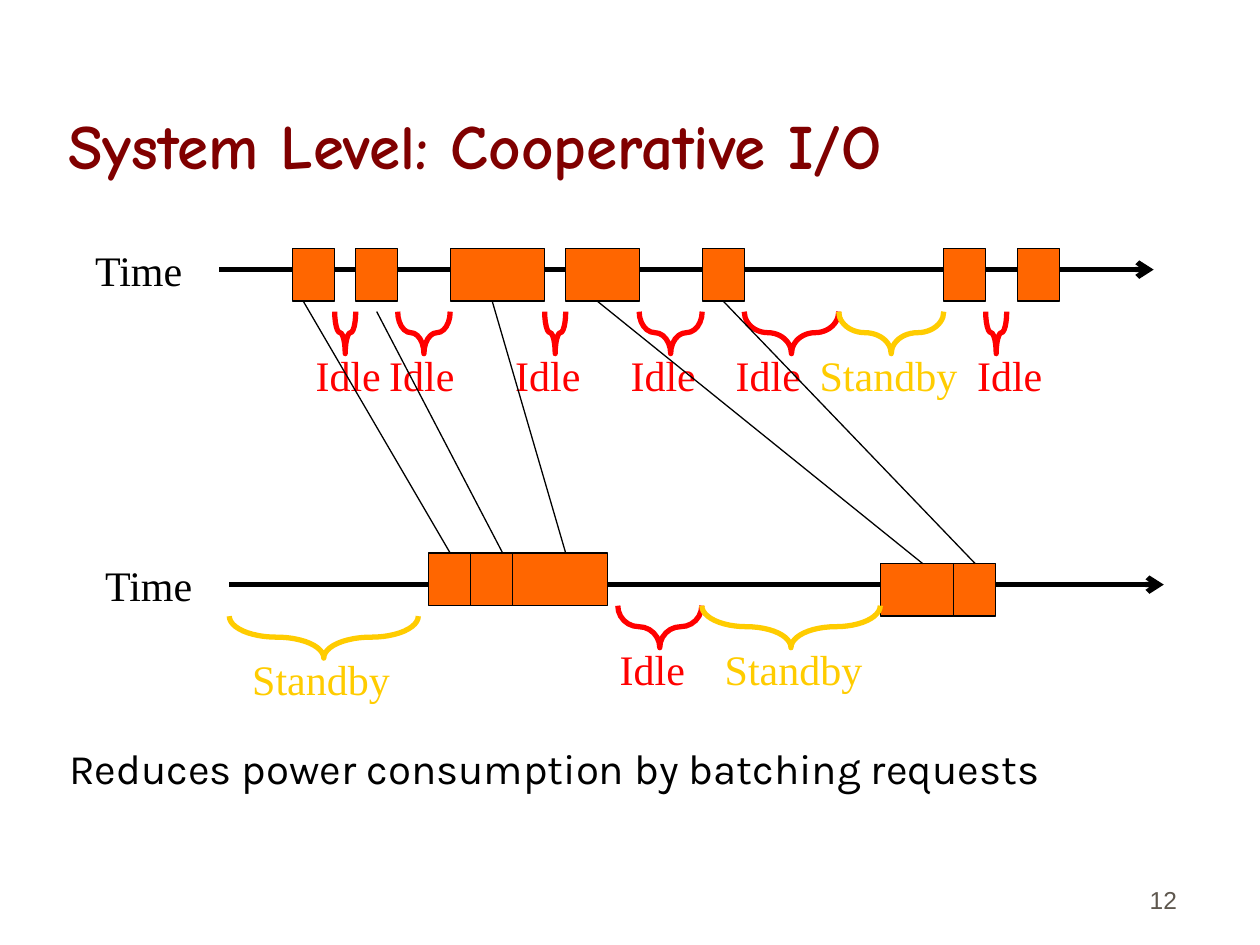
from lxml.etree import SubElement
from pptx import Presentation
from pptx.dml.color import RGBColor
from pptx.enum.shapes import MSO_CONNECTOR, MSO_SHAPE
from pptx.enum.text import MSO_ANCHOR, PP_ALIGN
from pptx.oxml.ns import qn
from pptx.util import Inches, Pt

BLACK, ORANGE = "000000", "FF6600"
STATE_COLORS = {"Idle": "FF0000", "Standby": "FFCC00"}
LABEL_UNITS = {"Idle": 9, "Standby": 16}
BLOCK_HEIGHT, BRACE_HEIGHT, AXIS_UNITS = 5, 4, 89

# Top-left start of each time axis, in inches
EAGER_ORIGIN = (1.74, 2.14)
BATCHED_ORIGIN = (1.82, 4.64)

# Positions along an axis, in grid units: blocks are (start, top, width),
# periods are (state, start, end, brace top, label start)
EAGER_BLOCKS = [(start, -2, width) for start, width in
                [(7, 4), (13, 4), (22, 9), (33, 7), (46, 4), (69, 4), (76, 4)]]
EAGER_PERIODS = [
    ("Idle", 11, 13, 4, 8),
    ("Idle", 17, 22, 4, 15),
    ("Idle", 31, 33, 4, 27),
    ("Idle", 40, 46, 4, 38),
    ("Idle", 50, 59, 4, 48),
    ("Standby", 59, 69, 4, 56),
    ("Idle", 73, 75, 4, 71),
]
BATCHED_BLOCKS = [(19, -3, 4), (23, -3, 4), (27, -3, 9), (62, -2, 7), (69, -2, 4)]
BATCHED_PERIODS = [
    ("Standby", 0, 18, 3, 1),
    ("Idle", 37, 45, 2, 36),
    ("Standby", 45, 62, 2, 46),
]
# Where each request moves, in grid units from the first axis start
MOVES = [(8, 3, 22, 27), (15, 4, 27, 27), (26, 3, 33, 27), (36, 3, 67, 28), (48, 3, 72, 28)]


def color(value):
    return RGBColor.from_string(value)


def units(count):
    """Length of a number of grid units, twelve to the inch."""
    return Inches(count / 12)


def add_text(slide, text, left, top, width, font_name, size, text_color,
             align=PP_ALIGN.LEFT, anchor=MSO_ANCHOR.TOP):
    frame = slide.shapes.add_textbox(left, top, width, Inches(0.5)).text_frame
    frame.word_wrap = True
    frame.vertical_anchor = anchor
    paragraph = frame.paragraphs[0]
    paragraph.text = text
    paragraph.alignment = align
    paragraph.font.name = font_name
    paragraph.font.size = Pt(size)
    paragraph.font.color.rgb = color(text_color)


def add_line(slide, start_x, start_y, end_x, end_y, width, arrow=False):
    connector = slide.shapes.add_connector(
        MSO_CONNECTOR.STRAIGHT, start_x, start_y, end_x, end_y)
    connector.line.color.rgb = color(BLACK)
    connector.line.width = Pt(width)
    properties = connector._element.spPr
    if arrow:
        SubElement(properties.find(qn("a:ln")), qn("a:tailEnd"), type="arrow")
    SubElement(properties, qn("a:effectLst"))


def add_block(slide, left, top, width):
    block = slide.shapes.add_shape(
        MSO_SHAPE.RECTANGLE, left, top, width, units(BLOCK_HEIGHT))
    block.shadow.inherit = False
    block.fill.solid()
    block.fill.fore_color.rgb = color(ORANGE)
    block.line.color.rgb = color(BLACK)
    block.line.width = Pt(0.75)


def add_brace(slide, left, top, span, line_color):
    """Draw a downward brace: a left brace turned about its centre."""
    depth = units(BRACE_HEIGHT)
    brace = slide.shapes.add_shape(
        MSO_SHAPE.LEFT_BRACE, left + (span - depth) // 2,
        top + (depth - span) // 2, depth, span)
    brace.rotation = 270
    brace.adjustments[0] = span / 4 / min(span, depth)
    brace.shadow.inherit = False
    brace.fill.background()
    brace.line.color.rgb = color(line_color)
    brace.line.width = Pt(3)


def add_timeline(slide, left, axis_y, blocks, periods):
    add_line(slide, left, axis_y, left + units(AXIS_UNITS), axis_y, 3, arrow=True)
    add_text(slide, "Time", left - units(13), axis_y - units(3), units(13),
             "Times New Roman", 24, BLACK)
    for start, top, width in blocks:
        add_block(slide, left + units(start), axis_y + units(top), units(width))
    for state, start, end, top, label_start in periods:
        add_brace(slide, left + units(start), axis_y + units(top),
                  units(end - start), STATE_COLORS[state])
        add_text(slide, state, left + units(label_start), axis_y + units(top + 3),
                 units(LABEL_UNITS[state]), "Times New Roman", 24, STATE_COLORS[state])


def add_moves(slide, left, top):
    for start_x, start_y, end_x, end_y in MOVES:
        add_line(slide, left + units(start_x), top + units(start_y),
                 left + units(end_x), top + units(end_y), 0.75)


def set_title(slide, left, top, width, height):
    title = slide.shapes.title
    title.left, title.top, title.width, title.height = left, top, width, height
    title.text_frame.vertical_anchor = MSO_ANCHOR.BOTTOM
    paragraph = title.text_frame.paragraphs[0]
    paragraph.text = "System Level: Cooperative I/O"
    paragraph.alignment = PP_ALIGN.LEFT
    paragraph.line_spacing = 0.85
    paragraph.font.name = "Comic Neue"
    paragraph.font.size = Pt(36)
    paragraph.font.bold = True
    paragraph.font.color.rgb = color("800000")


def main():
    presentation = Presentation()
    presentation.slide_width, presentation.slide_height = Inches(10), Inches(7.5)
    slide = presentation.slides.add_slide(presentation.slide_layouts[5])

    set_title(slide, Inches(0.44), Inches(0.25), Inches(8.97), Inches(1.25))
    eager_left, eager_y = map(Inches, EAGER_ORIGIN)
    batched_left, batched_y = map(Inches, BATCHED_ORIGIN)
    add_timeline(slide, eager_left, eager_y, EAGER_BLOCKS, EAGER_PERIODS)
    add_timeline(slide, batched_left, batched_y, BATCHED_BLOCKS, BATCHED_PERIODS)
    add_moves(slide, eager_left, eager_y)
    add_text(slide, "Reduces power consumption by batching requests",
             Inches(0.45), Inches(5.84), Inches(8.5), "Karla", 24, BLACK)
    add_text(slide, "12", Inches(7.36), Inches(6.81), Inches(2.08), "Arial", 14,
             "5E574E", PP_ALIGN.RIGHT, MSO_ANCHOR.BOTTOM)
    presentation.save("out.pptx")


if __name__ == "__main__":
    main()
